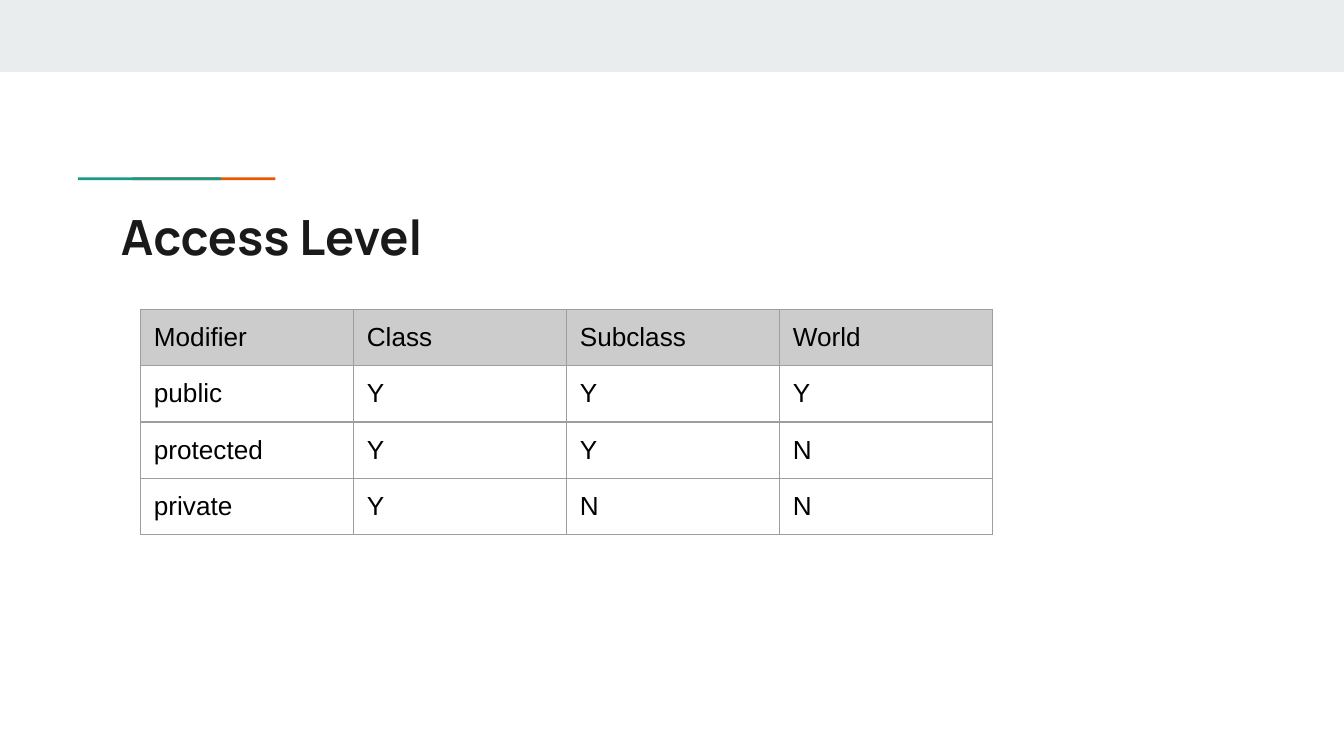
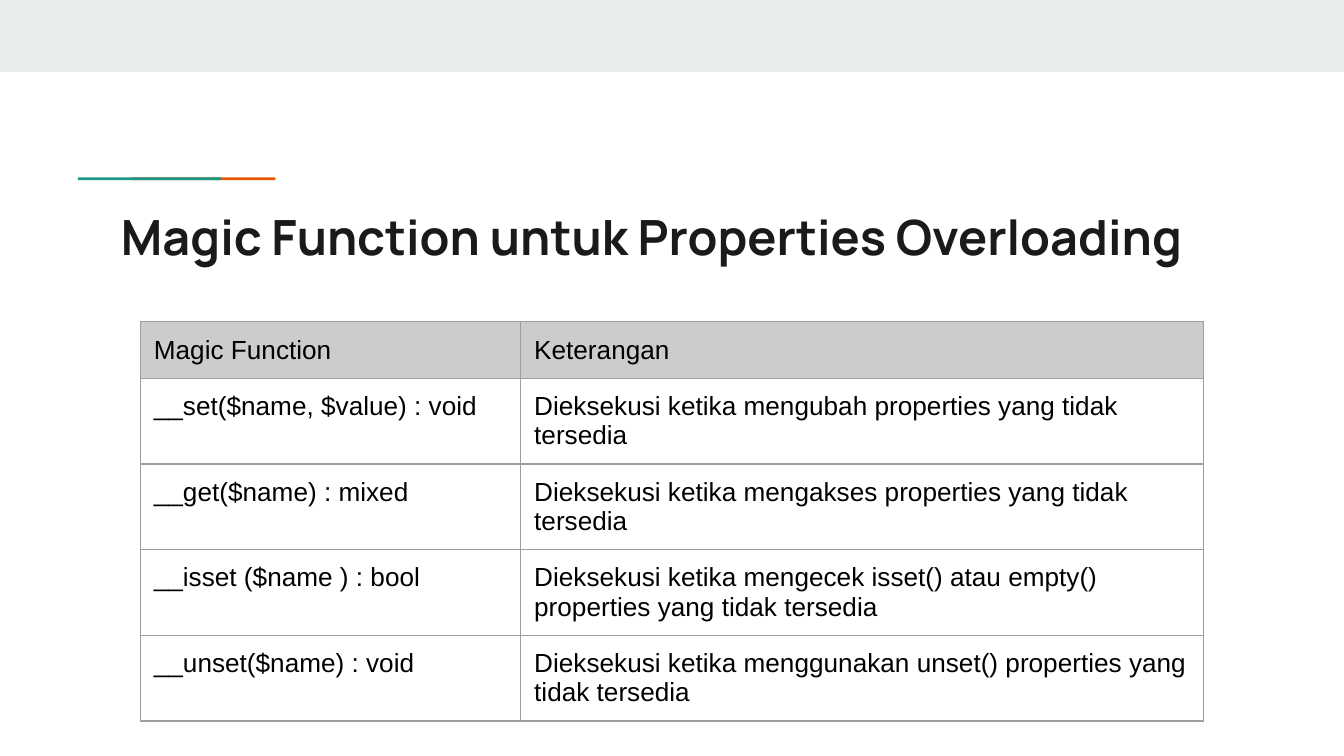
from dataclasses import dataclass

from lxml import etree
from pptx import Presentation
from pptx import util as u
from pptx.dml.color import RGBColor
from pptx.enum import shapes, text
from pptx.oxml import ns

PX = 4572  # EMU per px, 200 px to the inch
SLIDE_WIDTH, SLIDE_HEIGHT = 2000, 1125


@dataclass(frozen=True)
class Theme:
    band: str = "E9EDEE"
    teal: str = "1A9988"
    orange: str = "EB5600"
    title: str = "1A1A1A"
    cell: str = "000000"
    header: str = "CCCCCC"
    border: str = "9E9E9E"
    title_font: str = "Manrope"
    cell_font: str = "Arial"
    title_size: int = 26
    cell_size: int = 14
    border_width: float = 0.75
    inset: int = 20


def px(*lengths):
    return [u.Emu(length * PX) for length in lengths]


class Deck:
    def __init__(self, theme):
        self.theme = theme
        self.prs = Presentation()
        self.prs.slide_width, self.prs.slide_height = px(SLIDE_WIDTH, SLIDE_HEIGHT)
        self.slide = None

    def new_slide(self, title):
        self.slide = self.prs.slides.add_slide(self.prs.slide_layouts[5])
        # Top band and two-colour accent line
        self.bar(0, 0, SLIDE_WIDTH, 107, self.theme.band)
        self.bar(197, 264, 213, 4, self.theme.orange)
        self.bar(116, 264, 213, 4, self.theme.teal)
        self.title(title)

    def bar(self, left, top, width, height, color):
        bar = self.slide.shapes.add_shape(
            shapes.MSO_SHAPE.RECTANGLE, *px(left, top, width, height))
        bar.shadow.inherit = False
        bar.fill.solid()
        bar.fill.fore_color.rgb = RGBColor.from_string(color)
        bar.line.fill.background()

    def title(self, wording):
        title = self.slide.shapes.title
        title.left, title.top, title.width, title.height = px(160, 288, 1682, 118)
        frame = title.text_frame
        frame.text = wording
        frame.word_wrap = True
        frame.auto_size = text.MSO_AUTO_SIZE.NONE
        frame.vertical_anchor = text.MSO_ANCHOR.TOP
        self.inset(frame)
        paragraph = frame.paragraphs[0]
        paragraph.alignment = text.PP_ALIGN.LEFT
        self.font(paragraph, self.theme.title_font, self.theme.title_size,
                  self.theme.title, bold=True)

    def table(self, left, top, column_widths, rows, row_height=84):
        table = self.slide.shapes.add_table(
            len(rows), len(column_widths),
            *px(left, top, sum(column_widths), row_height * len(rows))).table
        table.first_row = table.horz_banding = False
        for column, width in zip(table.columns, px(*column_widths)):
            column.width = width
        for r, row in enumerate(rows):
            for c, wording in enumerate(row):
                self.cell(table.cell(r, c), wording, is_header=r == 0)

    def cell(self, cell, wording, is_header):
        cell.text = wording
        self.inset(cell)
        self.borders(cell)
        if is_header:
            cell.fill.solid()
            cell.fill.fore_color.rgb = RGBColor.from_string(self.theme.header)
        else:
            cell.fill.background()
        self.font(cell.text_frame.paragraphs[0], self.theme.cell_font,
                  self.theme.cell_size, self.theme.cell)

    def borders(self, cell):
        properties = cell._tc.get_or_add_tcPr()
        for side in ("a:lnL", "a:lnR", "a:lnT", "a:lnB"):
            line = etree.SubElement(properties, ns.qn(side),
                                    w=str(u.Pt(self.theme.border_width)))
            fill = etree.SubElement(line, ns.qn("a:solidFill"))
            etree.SubElement(fill, ns.qn("a:srgbClr"), val=self.theme.border)

    def inset(self, holder):
        (margin,) = px(self.theme.inset)
        holder.margin_left = holder.margin_right = margin
        holder.margin_top = holder.margin_bottom = margin

    def font(self, paragraph, name, size, color, bold=False):
        font = paragraph.font
        font.name, font.size, font.bold = name, u.Pt(size), bold
        font.color.rgb = RGBColor.from_string(color)


def main():
    deck = Deck(Theme())

    # Access modifiers
    deck.new_slide("Access Level")
    deck.table(209, 460, [317] * 4, [
        ("Modifier", "Class", "Subclass", "World"),
        ("public", "Y", "Y", "Y"),
        ("protected", "Y", "Y", "N"),
        ("private", "Y", "N", "N"),
    ])

    # Property overloading
    deck.new_slide("Magic Function untuk Properties Overloading")
    deck.table(209, 479, [566, 1016], [
        ("Magic Function", "Keterangan"),
        ("__set($name, $value) : void",
         "Dieksekusi ketika mengubah properties yang tidak tersedia"),
        ("__get($name) : mixed",
         "Dieksekusi ketika mengakses properties yang tidak tersedia"),
        ("__isset ($name ) : bool",
         "Dieksekusi ketika mengecek isset() atau empty() properties yang tidak tersedia"),
        ("__unset($name) : void",
         "Dieksekusi ketika menggunakan unset() properties yang tidak tersedia"),
    ])

    deck.prs.save("out.pptx")


if __name__ == "__main__":
    main()
